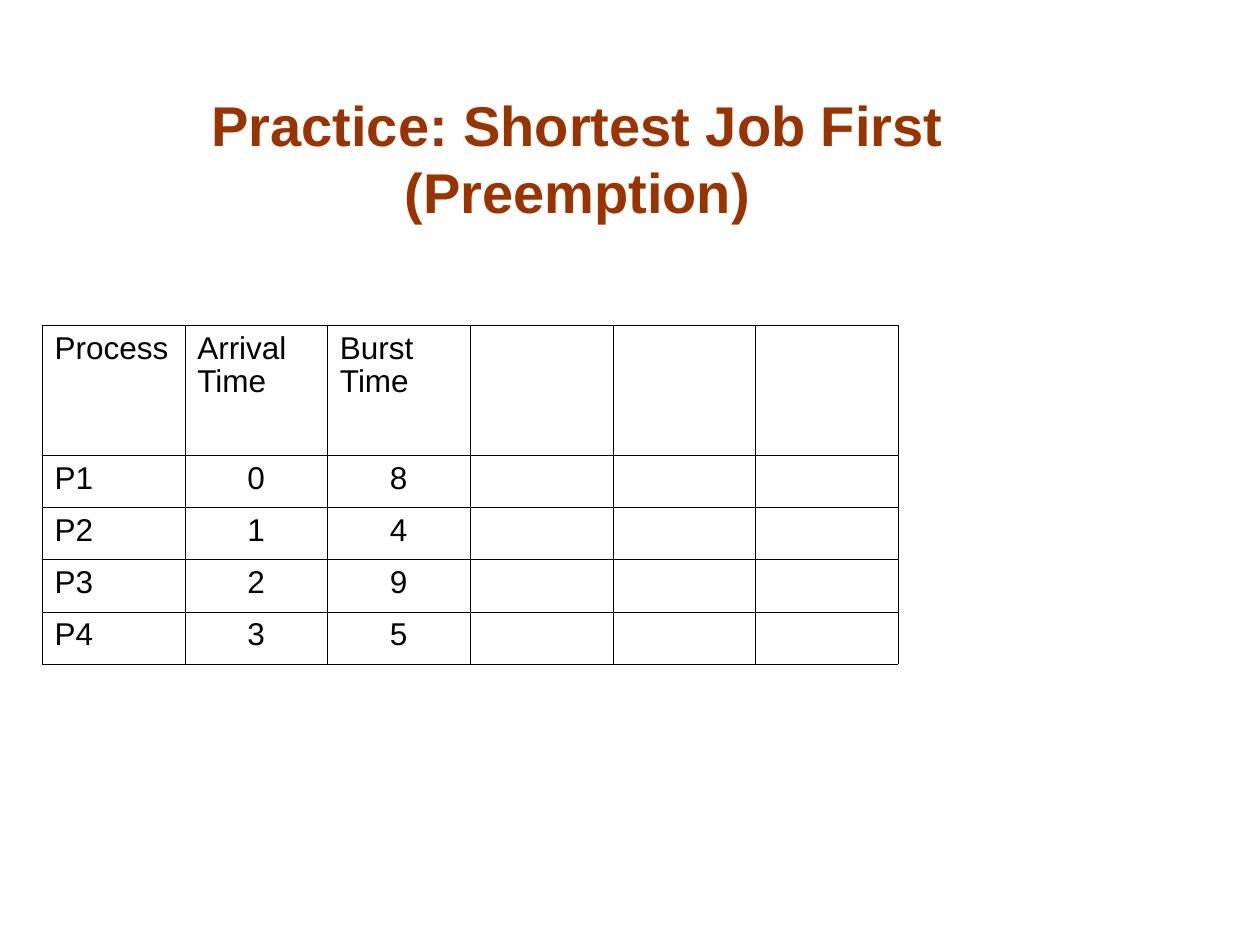
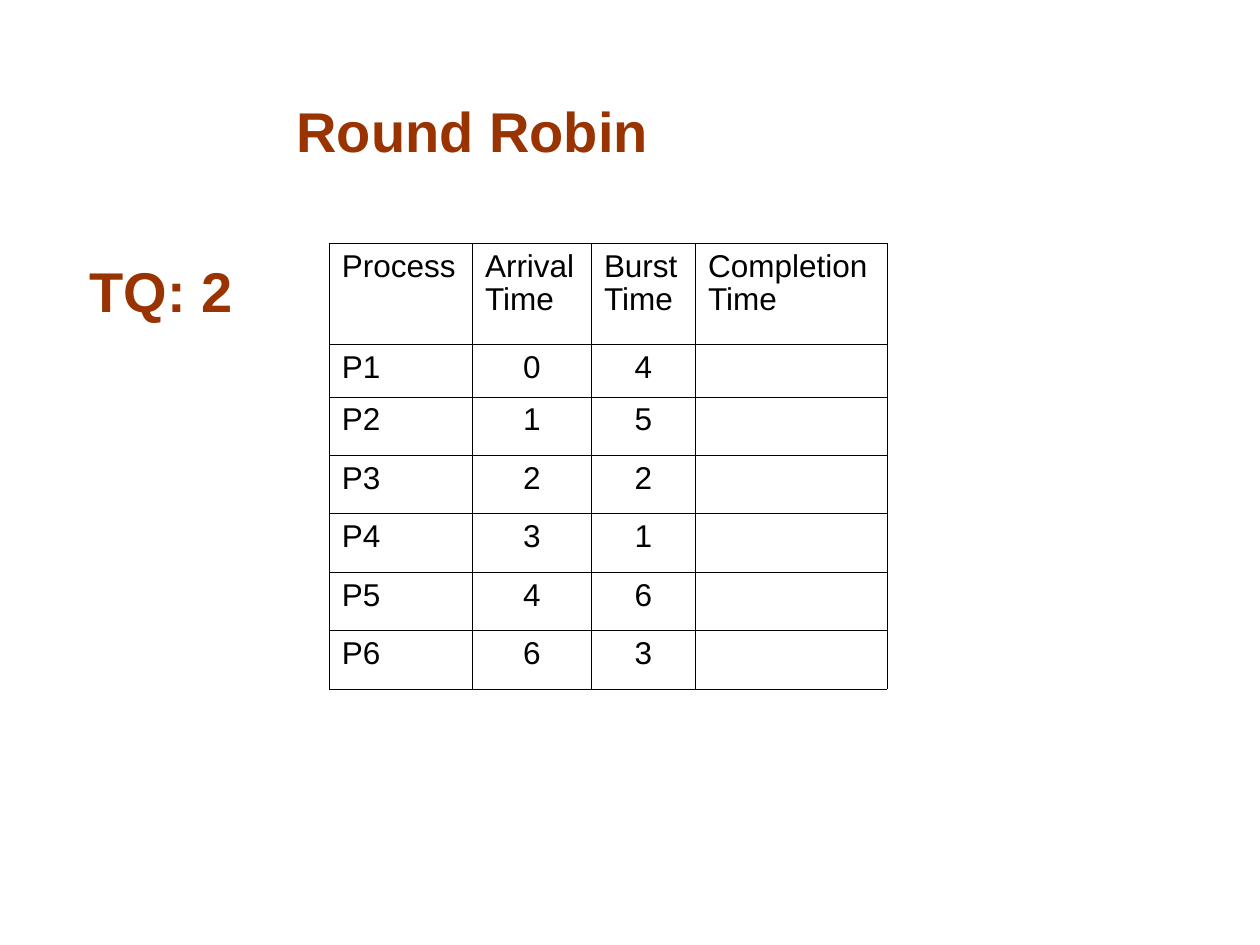
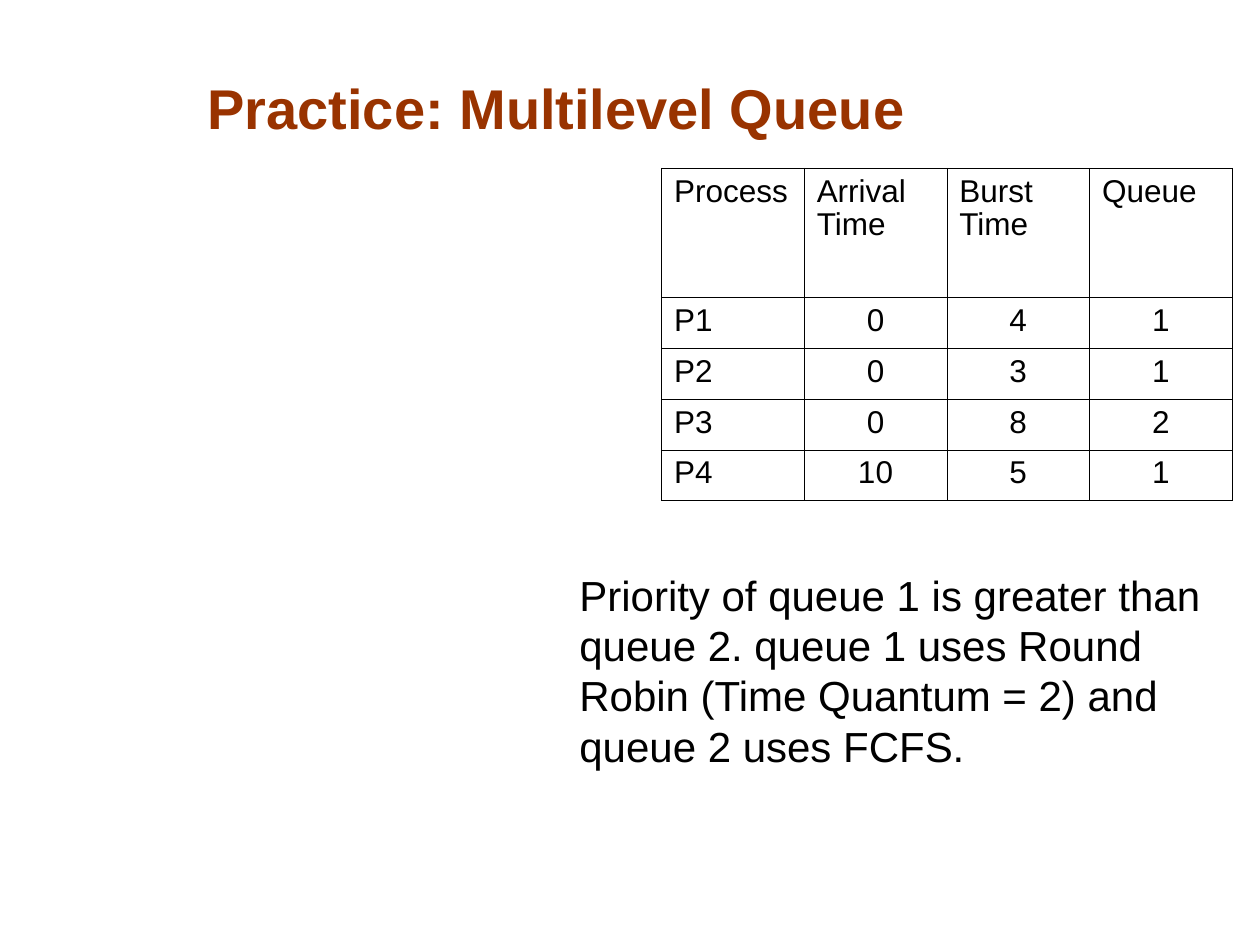
"""Build three practice slides on CPU scheduling."""
from dataclasses import dataclass

from lxml.etree import SubElement
from pptx import Presentation
from pptx.dml.color import RGBColor as RGB
from pptx.enum.text import MSO_ANCHOR as Anchor, MSO_AUTO_SIZE as AutoSize, PP_ALIGN as Align
from pptx.oxml.ns import qn
from pptx.util import Pt


@dataclass(frozen=True)
class Theme:
    font: str = "Arial"
    accent: RGB = RGB(0x99, 0x33, 0x00)
    ink: RGB = RGB(0, 0, 0)
    title_size: float = 32
    note_size: float = 24
    cell_size: float = 18
    cell_spacing: float = 0.94
    border: float = 0.23


@dataclass(frozen=True)
class Box:
    left: float
    top: float
    width: float
    height: float


@dataclass(frozen=True)
class Note:
    text: str
    box: Box
    heading: bool = False


@dataclass(frozen=True)
class ProcessTable:
    left: float
    top: float
    widths: tuple[float, ...]
    heights: tuple[float, ...]
    header: tuple[str, ...]
    values: tuple[tuple[int, ...], ...]

    def rows(self) -> list[tuple[str, ...]]:
        jobs = [(f"P{i}", *map(str, v)) for i, v in enumerate(self.values, 1)]
        return [self.header, *jobs]


@dataclass(frozen=True)
class Page:
    title: str
    title_box: Box
    table: ProcessTable
    note: Note | None = None


THEME = Theme()
HEADER = ("Process", "Arrival Time", "Burst Time")
COLUMN = 81.55

PAGES = (
    Page(
        "Practice: Shortest Job First (Preemption)",
        Box(24, 60, 612, 72),
        ProcessTable(24, 186, (COLUMN,) * 6, (74,) + (29.3,) * 4, HEADER,
                     ((0, 8), (1, 4), (2, 9), (3, 5))),
    ),
    Page(
        "Round Robin",
        Box(0, 46, 540, 51),
        ProcessTable(188.2, 139, (81.8, 68, 59.5, 109.5), (57.8, 29) + (33.4,) * 5,
                     (*HEADER, "Completion Time"),
                     ((0, 4), (1, 5), (2, 2), (3, 1), (4, 6), (6, 3))),
        Note("TQ: 2 ", Box(21, 137.5, 151, 51), heading=True),
    ),
    Page(
        "Practice: Multilevel Queue",
        Box(12, 12, 612, 72),
        ProcessTable(378, 96, (COLUMN,) * 4, (74,) + (29,) * 4, (*HEADER, "Queue"),
                     ((0, 4, 1), (0, 3, 1), (0, 8, 2), (10, 5, 1))),
        Note("Priority of queue 1 is greater than queue 2. queue 1 uses Round Robin "
             "(Time Quantum = 2) and queue 2 uses FCFS.", Box(324, 306, 371, 138)),
    ),
)


def format_text(p, size: float, color: RGB, align: Align, bold: bool = False) -> None:
    p.alignment = align
    for r in p.runs:
        r.font.name, r.font.size, r.font.bold = THEME.font, Pt(size), bold
        r.font.color.rgb = color


def fill_box(sp, text: str, box: Box, heading: bool) -> None:
    sp.left, sp.top = Pt(box.left), Pt(box.top)
    sp.width, sp.height = Pt(box.width), Pt(box.height)
    tf = sp.text_frame
    tf.text = text
    tf.word_wrap, tf.auto_size = True, AutoSize.NONE
    tf.vertical_anchor = Anchor.BOTTOM
    if heading:
        format_text(tf.paragraphs[0], THEME.title_size, THEME.accent, Align.CENTER, bold=True)
    else:
        format_text(tf.paragraphs[0], THEME.note_size, THEME.ink, Align.LEFT)


def style_cell(cell) -> None:
    cell.margin_top, cell.margin_bottom = Pt(4.3), Pt(3.6)
    props = cell._tc.get_or_add_tcPr()
    for side in ("lnL", "lnR", "lnT", "lnB"):
        line = SubElement(props, qn(f"a:{side}"), w=str(Pt(THEME.border)))
        fill = SubElement(line, qn("a:solidFill"))
        SubElement(fill, qn("a:srgbClr"), val=str(THEME.ink))
    cell.fill.background()


def draw_table(s, table: ProcessTable) -> None:
    frame = s.shapes.add_table(
        len(table.heights), len(table.widths), Pt(table.left), Pt(table.top),
        Pt(sum(table.widths)), Pt(sum(table.heights)))
    grid = frame.table
    grid.first_row = grid.horz_banding = False
    for column, width in zip(grid.columns, table.widths):
        column.width = Pt(width)
    for row, height in zip(grid.rows, table.heights):
        row.height = Pt(height)
    for cell in grid.iter_cells():
        style_cell(cell)
    for i, row in enumerate(table.rows()):
        for j, text in enumerate(row):
            p = grid.cell(i, j).text_frame.paragraphs[0]
            p.text = text
            p.line_spacing = THEME.cell_spacing
            format_text(p, THEME.cell_size, THEME.ink, Align.CENTER if i and j else Align.LEFT)


def draw_page(prs, page: Page) -> None:
    s = prs.slides.add_slide(prs.slide_layouts.get_by_name("Title Only"))
    fill_box(s.shapes.title, page.title, page.title_box, heading=True)
    draw_table(s, page.table)
    if page.note:
        sp = s.shapes.add_textbox(0, 0, 0, 0)
        fill_box(sp, page.note.text, page.note.box, page.note.heading)


def main() -> None:
    prs = Presentation()
    prs.slide_width, prs.slide_height = Pt(720), Pt(540)
    for page in PAGES:
        draw_page(prs, page)
    prs.save("out.pptx")


if __name__ == "__main__":
    main()
